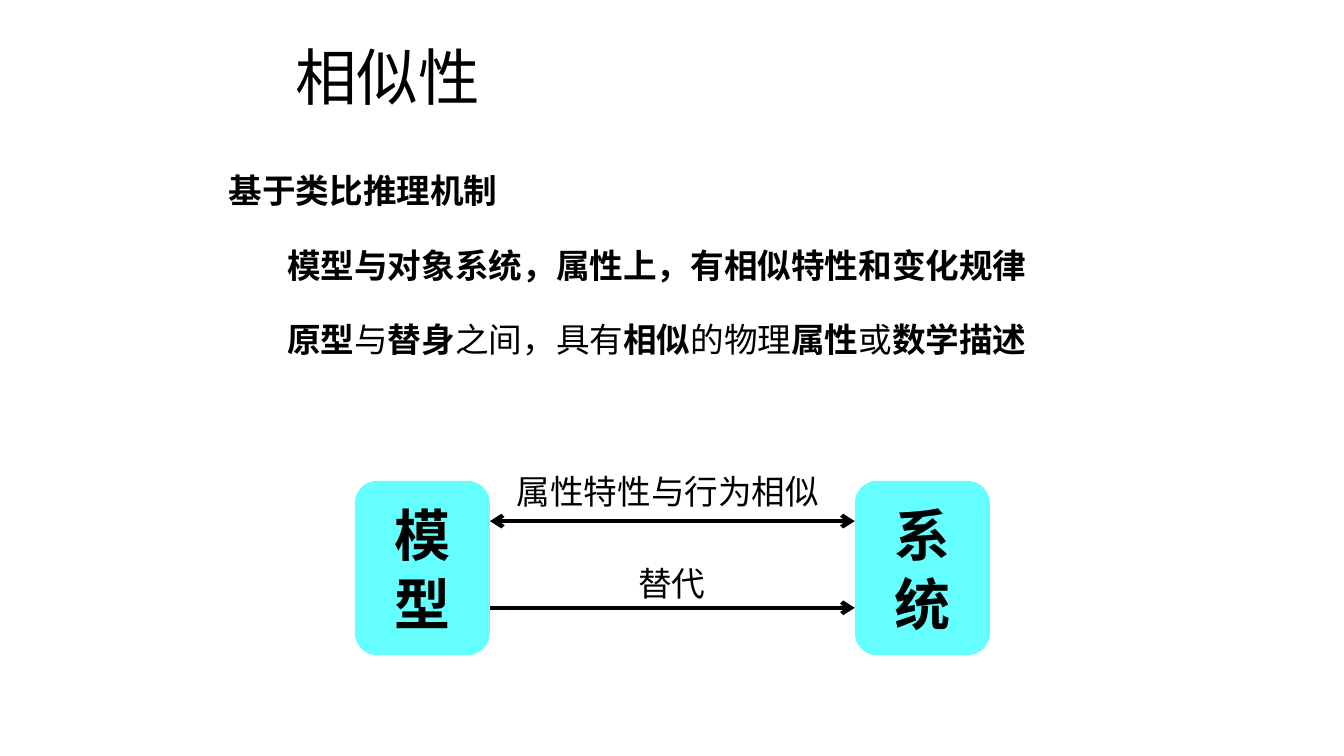
import pptx
import pptx.dml.color
import pptx.enum.shapes
import pptx.enum.text
import pptx.oxml.ns
import pptx.util
from lxml import etree

BLACK = pptx.dml.color.RGBColor(0x00, 0x00, 0x00)
CYAN = pptx.dml.color.RGBColor(0x66, 0xFF, 0xFF)
FONT = "Noto Sans CJK SC"
LINE_HEIGHT = 1.22
LEFT = pptx.enum.text.PP_ALIGN.LEFT
CENTER = pptx.enum.text.PP_ALIGN.CENTER
JUSTIFY = pptx.enum.text.PP_ALIGN.JUSTIFY
TOP = pptx.enum.text.MSO_ANCHOR.TOP
MIDDLE = pptx.enum.text.MSO_ANCHOR.MIDDLE

WIDTH = pptx.util.Inches(13.33)
HEIGHT = pptx.util.Inches(7.5)

# Diagram grid, in percent of the slide's width and height
NODE_WIDTH, NODE_HEIGHT, NODE_TOP = 10.05, 23.07, 63.6
MODEL_LEFT, SYSTEM_LEFT = 26.4, 63.6
MODEL_RIGHT = MODEL_LEFT + NODE_WIDTH
LABEL_WIDTH, LABEL_HEIGHT = 25.43, 6.75


def across(percent):
    return round(WIDTH * percent / 100)


def down(percent):
    return round(HEIGHT * percent / 100)


def area(left, top, width, height):
    return across(left), down(top), across(width), down(height)


def add_xml(parent, tag, **attributes):
    return etree.SubElement(parent, pptx.oxml.ns.qn(tag), attributes)


def write_paragraph(paragraph, runs, size, align):
    """Fill a paragraph with (text, bold) runs."""
    paragraph.alignment = align
    paragraph.line_spacing = pptx.util.Pt(round(size * LINE_HEIGHT, 1))
    for text, bold in runs:
        run = paragraph.add_run()
        run.text = text
        run.font.size = pptx.util.Pt(size)
        run.font.bold = bold
        run.font.name = FONT
        run.font.color.rgb = BLACK
        add_xml(run.font._element, "a:ea", typeface=FONT)


def add_text(slide, box, paragraphs, size, align, anchor=TOP):
    text_frame = slide.shapes.add_textbox(*area(*box)).text_frame
    text_frame.word_wrap = True
    text_frame.vertical_anchor = anchor
    for index, runs in enumerate(paragraphs):
        paragraph = text_frame.add_paragraph() if index else text_frame.paragraphs[0]
        write_paragraph(paragraph, runs, size, align)
    return text_frame


def add_node(slide, left, name):
    shape = slide.shapes.add_shape(
        pptx.enum.shapes.MSO_SHAPE.ROUNDED_RECTANGLE,
        *area(left, NODE_TOP, NODE_WIDTH, NODE_HEIGHT))
    shape.shadow.inherit = False
    shape.fill.solid()
    shape.fill.fore_color.rgb = CYAN
    shape.line.fill.background()
    shape.text_frame.word_wrap = True
    shape.text_frame.vertical_anchor = MIDDLE
    write_paragraph(shape.text_frame.paragraphs[0], [(name, True)], 40, CENTER)


def add_arrow(slide, row, ends):
    """Draw a level line from model to system with arrowheads at the given ends."""
    connector = slide.shapes.add_connector(
        pptx.enum.shapes.MSO_CONNECTOR.STRAIGHT,
        across(MODEL_RIGHT), down(row), across(SYSTEM_LEFT), down(row))
    connector.line.color.rgb = BLACK
    connector.line.width = pptx.util.Pt(3)
    for end in ends:
        add_xml(connector.line._get_or_add_ln(), end, type="arrow")
    add_xml(connector._element.spPr, "a:effectLst")


def add_body(slide):
    paragraphs = [
        [("基于类比推理机制", True)],
        [("模型与对象系统，属性上，有相似特性和变化规律", True)],
        [("原型", True), ("与", False), ("替身", True), ("之间，具有", False),
         ("相似", True), ("的物理", False), ("属性", True), ("或", False),
         ("数学描述", True)],
    ]
    text_frame = add_text(slide, (16.28, 21.73, 66.92, 26.53), paragraphs, 24, JUSTIFY)
    for paragraph in text_frame.paragraphs[1:]:
        paragraph.space_before = pptx.util.Pt(24)
        properties = paragraph._p.get_or_add_pPr()
        properties.set("lvl", "1")
        properties.set("marL", str(pptx.util.Inches(0.58)))
        properties.set("indent", "0")


def add_diagram(slide):
    add_node(slide, MODEL_LEFT, "模型")
    add_node(slide, SYSTEM_LEFT, "系统")
    relations = [
        ("属性特性与行为相似", 36.98, 61.6, 68.93, ["a:headEnd", "a:tailEnd"]),
        ("替代", 37.28, 73.73, 80.4, ["a:tailEnd"]),
    ]
    for text, left, top, arrow_row, ends in relations:
        add_arrow(slide, arrow_row, ends)
        add_text(slide, (left, top, LABEL_WIDTH, LABEL_HEIGHT),
                 [[(text, False)]], 24, CENTER)


def main():
    presentation = pptx.Presentation()
    presentation.slide_width = WIDTH
    presentation.slide_height = HEIGHT
    slide = presentation.slides.add_slide(presentation.slide_layouts[6])
    add_diagram(slide)
    add_text(slide, (21.23, 3.33, 58.14, 13.33), [[("相似性", False)]], 44, LEFT, MIDDLE)
    add_body(slide)
    presentation.save("out.pptx")


if __name__ == "__main__":
    main()
